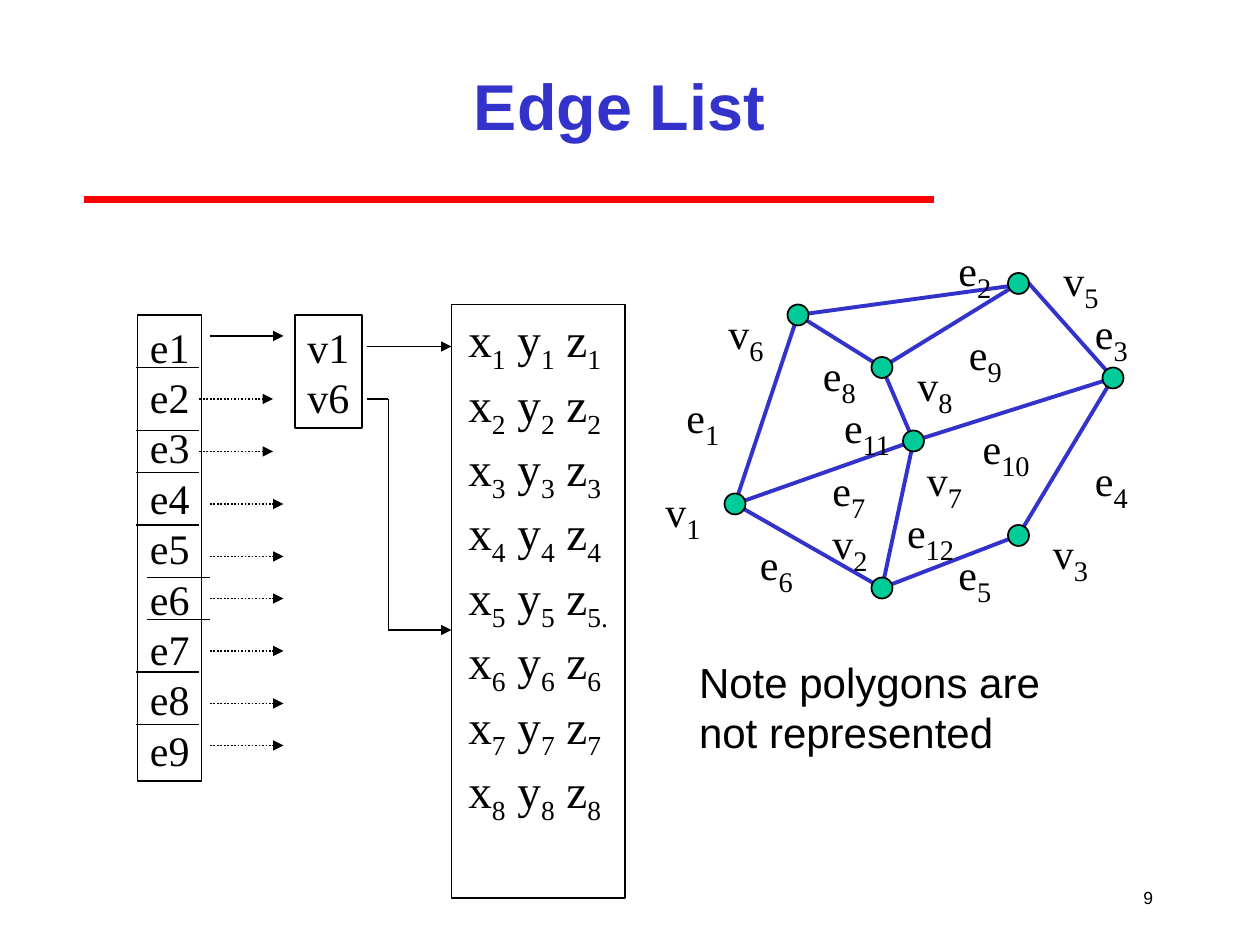
from lxml.etree import SubElement
from pptx import Presentation
from pptx.dml.color import RGBColor
from pptx.enum.dml import MSO_LINE
from pptx.enum.shapes import MSO_CONNECTOR, MSO_SHAPE
from pptx.enum.text import MSO_ANCHOR, PP_ALIGN
from pptx.oxml.ns import qn
from pptx.util import Pt

PX = 7620
BLACK = RGBColor(0x00, 0x00, 0x00)
BLUE = RGBColor(0x33, 0x33, 0xCC)
GREEN = RGBColor(0x00, 0xCC, 0x99)
RED = RGBColor(0xFF, 0x00, 0x00)
SERIF, SANS = "Times New Roman", "Arial"

TITLE = "Edge List"
PAGE = "9"
NOTE = ["Note polygons are", "not represented"]
EDGES = [f"e{n}" for n in range(1, 10)]
ENDPOINTS = ["v1", "v6"]
COORDINATES = [[(axis, f"{n}." if (axis, n) == (" z", 5) else f"{n}")
                for axis in ("x", " y", " z")] for n in range(1, 9)]

VERTICES = {"v1": (700, 480), "v6": (760, 300), "v7": (870, 420), "v2": (840, 560),
            "v3": (970, 510), "v8": (840, 350), "v4": (1060, 360), "v5": (970, 270)}
OUTLINE = [VERTICES["v1"], VERTICES["v6"], (980, 270), VERTICES["v4"],
           VERTICES["v3"], VERTICES["v2"]]
INNER_EDGES = [("v1", "v7"), ("v7", "v2"), ("v7", "v4"), ("v7", "v8"), ("v8", "v5"), ("v8", "v6")]
LABELS = {"v1": (622, 450), "v2": (781, 480), "v7": (871, 420), "v6": (682, 280),
          "v8": (862, 330), "v5": (1001, 230), "v3": (991, 490), "e1": (642, 360),
          "e8": (772, 320), "e3": (1031, 280), "e2": (901, 220), "e11": (792, 370),
          "e6": (712, 500), "e7": (781, 430), "e10": (924, 390), "e5": (901, 510),
          "e4": (1031, 420), "e9": (911, 300), "e12": (852, 470)}
DIVIDERS = [(130, 350), (130, 410), (130, 450), (130, 500),
            (140, 550), (140, 590), (130, 640), (130, 690)]
EDGE_ARROWS = [(200, 320), (190, 380), (190, 430), (200, 480), (200, 530),
               (200, 570), (200, 620), (200, 670), (200, 710)]
V6_ROUTE = [(350, 380), (370, 380), (370, 600), (430, 600)]

prs = Presentation()
prs.slide_width, prs.slide_height = 1200 * PX, 900 * PX
slide = prs.slides.add_slide(prs.slide_layouts[6])
shapes = slide.shapes


def scaled(*lengths):
    """Turn px lengths into EMU."""
    return [length * PX for length in lengths]


def connect(start, end, color=BLACK, width=1, dash=None, arrow=False):
    """Draw a straight line, with an arrowhead at its end on request."""
    line = shapes.add_connector(MSO_CONNECTOR.STRAIGHT, *scaled(*start, *end))
    line.line.color.rgb = color
    line.line.width = Pt(width)
    if dash:
        line.line.dash_style = dash
    if arrow:
        SubElement(line.line._get_or_add_ln(), qn("a:tailEnd"), type="triangle")
    SubElement(line._element.spPr, qn("a:effectLst"))


def paint(shape, fill=None, color=BLACK, width=1):
    """Set the fill and outline of a shape."""
    shape.shadow.inherit = False
    if fill is None:
        shape.fill.background()
    else:
        shape.fill.solid()
        shape.fill.fore_color.rgb = fill
    shape.line.color.rgb = color
    shape.line.width = Pt(width)


def add_run(paragraph, text, size, subscript=False, **font):
    """Append one formatted run."""
    run = paragraph.add_run()
    run.text = text
    run.font.color.rgb = font.pop("color", BLACK)
    for key, value in {"name": SERIF, "size": Pt(size), **font}.items():
        setattr(run.font, key, value)
    if subscript:
        run.font._element.set("baseline", "-25000")


def write(box, rows, size=24, sub_size=24, spacing=None, align=PP_ALIGN.LEFT,
          anchor=MSO_ANCHOR.TOP, wrap=False, framed=False, inset=12, **font):
    """Place rows of text, each a string or a list of base and subscript pairs."""
    if framed:
        shape = shapes.add_shape(MSO_SHAPE.RECTANGLE, *scaled(*box))
        paint(shape)
    else:
        shape = shapes.add_textbox(*scaled(*box))
    frame = shape.text_frame
    layout = {"word_wrap": wrap, "vertical_anchor": anchor, "margin_left": inset * PX}
    for key, value in layout.items():
        setattr(frame, key, value)
    for index, row in enumerate(rows):
        paragraph = frame.add_paragraph() if index else frame.paragraphs[0]
        paragraph.alignment = align
        if spacing:
            paragraph.line_spacing = Pt(spacing)
        for base, sub in [(row, "")] if isinstance(row, str) else row:
            add_run(paragraph, base, size, **font)
            if sub:
                add_run(paragraph, sub, sub_size, subscript=True, **font)


connect((80, 190), (890, 190), RED, 4)
write((1060, 830, 50, 50), [PAGE], size=10, align=PP_ALIGN.RIGHT,
      anchor=MSO_ANCHOR.MIDDLE, name=SANS)
write((180, 30, 820, 140), [TITLE], size=37, align=PP_ALIGN.CENTER,
      anchor=MSO_ANCHOR.MIDDLE, wrap=True, name=SANS, bold=True, color=BLUE)

builder = shapes.build_freeform(*OUTLINE[0], scale=PX)
builder.add_line_segments(OUTLINE[1:], close=True)
paint(builder.convert_to_shape(), color=BLUE, width=2.25)
for start, end in INNER_EDGES:
    connect(VERTICES[start], VERTICES[end], BLUE, 2.25)
for x, y in VERTICES.values():
    paint(shapes.add_shape(MSO_SHAPE.OVAL, *scaled(x - 10, y - 10, 20, 20)), GREEN)
for label, (x, y) in LABELS.items():
    width = 73 if len(label) > 2 else 58 if label[0] == "v" else 55
    write((x, y, width, 76), [[(label[0], label[1:])]], sub_size=28, spacing=38.2)

write((131, 300, 61, 444), EDGES, spacing=28.8, framed=True)
for x, y in DIVIDERS:
    connect((x, y), (x + 60, y))
write((430, 290, 165, 565), COORDINATES, size=27, sub_size=27, spacing=36.8,
      wrap=True, framed=True, inset=16)
write((281, 300, 64, 108), ENDPOINTS, spacing=28.8, framed=True)
for index, (x, y) in enumerate(EDGE_ARROWS):
    connect((x, y), (x + 70, y), dash=MSO_LINE.ROUND_DOT if index else None, arrow=True)
connect((350, 330), (430, 330), arrow=True)
for start, end in zip(V6_ROUTE, V6_ROUTE[1:]):
    connect(start, end, arrow=end == V6_ROUTE[-1])

write((654, 619, 358, 108), NOTE, spacing=28.8, name=SANS)

prs.save("out.pptx")
